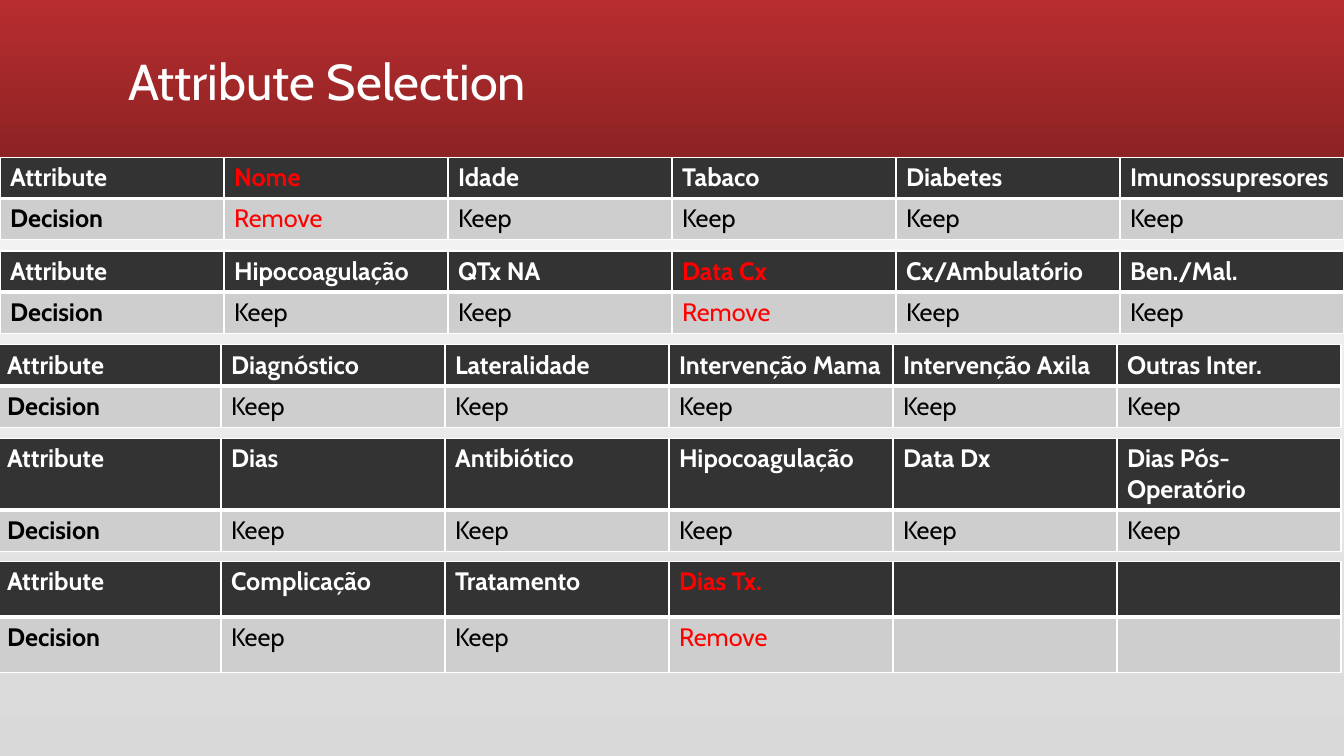
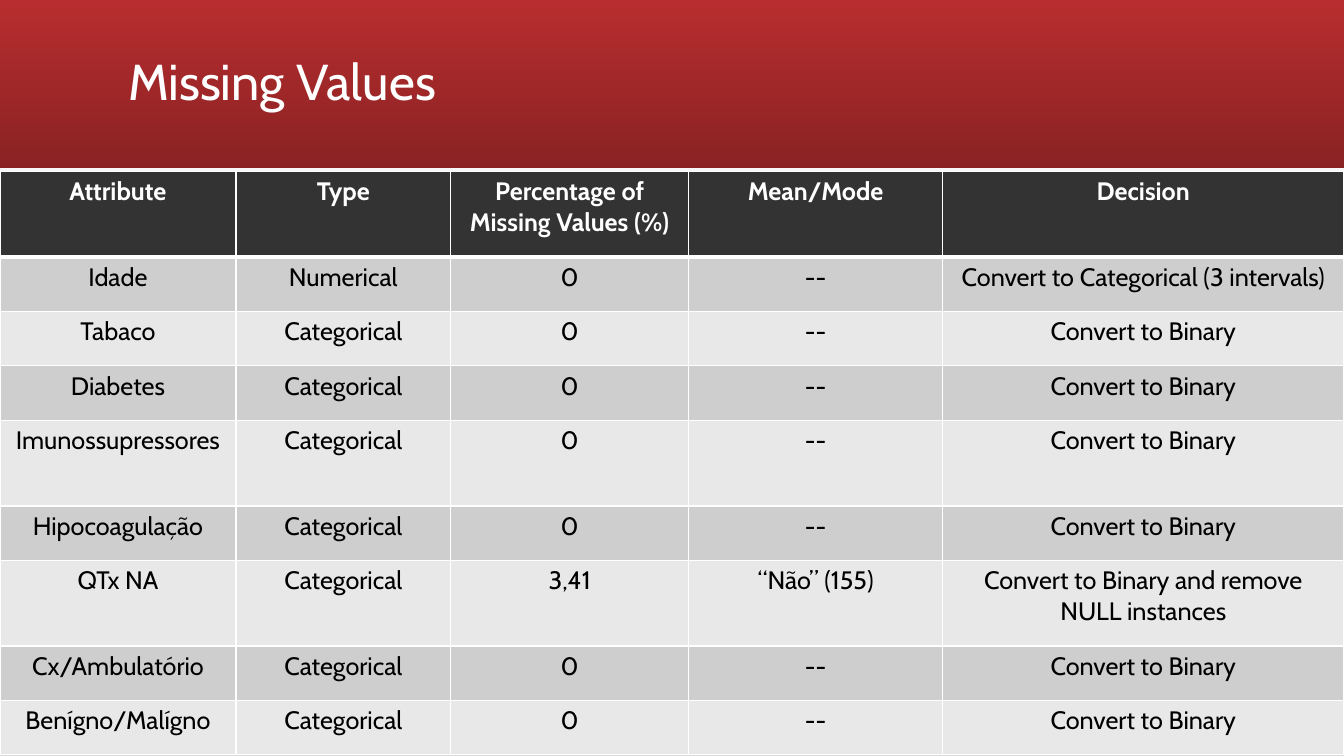
from lxml import etree
from pptx import Presentation
from pptx import util as u
from pptx.dml.color import RGBColor
from pptx.enum import shapes, text
from pptx.oxml.ns import qn

# Shared style
WIDTH, HEIGHT = 13.33, 7.5
FONT = "Cabin"
COLORS = {
    "band_top": "B82D2F", "band_bottom": "8A2223",
    "page_top": "FFFFFF", "page_bottom": "D9D9D9",
    "header": "333333", "odd": "CECECE", "even": "E8E8E8",
    "light": "FFFFFF", "dark": "000000", "removed": "FF0000",
}

# Attribute selection: (left, row heights, attributes)
REMOVED = {"Nome", "Data Cx", "Dias Tx."}
SELECTION_TOP, SELECTION_GAP, SELECTION_COLUMNS = 1.56, 0.11, 6
SELECTION = [
    (0, (0.41, 0.41), ["Nome", "Idade", "Tabaco", "Diabetes", "Imunossupresores"]),
    (0, (0.41, 0.41), ["Hipocoagulação", "QTx NA", "Data Cx", "Cx/Ambulatório", "Ben./Mal."]),
    (-0.03, (0.41, 0.41), ["Diagnóstico", "Lateralidade", "Intervenção Mama",
                           "Intervenção Axila", "Outras Inter."]),
    (-0.03, (0.7, 0.41), ["Dias", "Antibiótico", "Hipocoagulação", "Data Dx",
                          "Dias Pós-Operatório"]),
    (-0.03, (0.55, 0.55), ["Complicação", "Tratamento", "Dias Tx.", "", ""]),
]

# Missing values
MISSING_TOP = 1.7
MISSING_COLUMNS = (2.34, 2.13, 2.36, 2.52, 3.98)
ROW, TALL_ROW = 0.54, 0.85
TALL = {"Attribute", "Imunossupressores", "QTx NA"}
BINARY = "Convert to Binary"
MISSING = [
    ("Attribute", "Type", "Percentage of Missing Values (%)", "Mean/Mode", "Decision"),
    ("Idade", "Numerical", "0", "--", "Convert to Categorical (3 intervals)"),
    ("Tabaco", "Categorical", "0", "--", BINARY),
    ("Diabetes", "Categorical", "0", "--", BINARY),
    ("Imunossupressores", "Categorical", "0", "--", BINARY),
    ("Hipocoagulação", "Categorical", "0", "--", BINARY),
    ("QTx NA", "Categorical", "3,41", "“Não” (155)", BINARY + " and remove NULL instances"),
    ("Cx/Ambulatório", "Categorical", "0", "--", BINARY),
    ("Benígno/Malígno", "Categorical", "0", "--", BINARY),
]


def rgb(name):
    return RGBColor.from_string(COLORS[name])


def fill_gradient(fill, start, end, angle):
    fill.gradient()
    fill.gradient_angle = angle
    for stop, name in zip(fill.gradient_stops, (start, end)):
        stop.color.rgb = rgb(name)


def style_layout(deck, layout):
    """Page gradient on the master, red band on the layout."""
    fill_gradient(deck.slide_master.background.fill, "page_bottom", "page_top", 90)
    slide = deck.slides[0]
    band = slide.shapes.add_shape(shapes.MSO_SHAPE.RECTANGLE, 0, 0,
                                  u.Inches(WIDTH), u.Inches(1.67))
    band.shadow.inherit = False
    band.line.fill.background()
    fill_gradient(band.fill, "band_top", "band_bottom", 270)
    layout.shapes._spTree.insert(2, band._element)


def add_titled_slide(deck, layout, wording):
    slide = deck.slides.add_slide(layout)
    title = slide.shapes.title
    title.left, title.top, title.width, title.height = map(u.Inches, (1.17, 0.11, 11, 1.45))
    title.text = wording
    frame = title.text_frame
    frame.vertical_anchor = text.MSO_ANCHOR.MIDDLE
    frame.auto_size = text.MSO_AUTO_SIZE.NONE
    heading = frame.paragraphs[0]
    heading.alignment = text.PP_ALIGN.LEFT
    heading.line_spacing = 0.9
    heading.font.name, heading.font.size = FONT, u.Pt(36)
    heading.font.color.rgb = rgb("light")
    return slide


def set_borders(cell, top, bottom):
    properties = cell._tc.get_or_add_tcPr()
    for side, points in (("L", 1), ("R", 1), ("T", top), ("B", bottom)):
        line = etree.SubElement(properties, qn(f"a:ln{side}"), w=str(u.Pt(points)))
        solid = etree.SubElement(line, qn("a:solidFill"))
        etree.SubElement(solid, qn("a:srgbClr"), val=COLORS["light"])


def add_grid(slide, left, top, widths, heights, rows, align, bold_first=False):
    """A table with a dark header row, banded body and white rules."""
    table = slide.shapes.add_table(
        len(rows), len(widths), u.Inches(left), u.Inches(top),
        u.Inches(sum(widths)), u.Inches(sum(heights))).table
    for column, width in zip(table.columns, widths):
        column.width = u.Inches(width)
    for r, (height, row) in enumerate(zip(heights, rows)):
        table.rows[r].height = u.Inches(height)
        header = r == 0
        for c, wording in enumerate(row):
            cell = table.cell(r, c)
            set_borders(cell, top=3 if r == 1 else 1, bottom=3 if header else 1)
            cell.fill.solid()
            cell.fill.fore_color.rgb = rgb("header" if header else "odd" if r % 2 else "even")
            cell.text = wording
            entry = cell.text_frame.paragraphs[0]
            entry.alignment = align
            entry.font.name, entry.font.size = FONT, u.Pt(18)
            entry.font.bold = header or (bold_first and c == 0)
            removed = wording in REMOVED or wording == "Remove"
            entry.font.color.rgb = rgb("removed" if removed else "light" if header else "dark")


def decide(attribute):
    if not attribute:
        return ""
    return "Remove" if attribute in REMOVED else "Keep"


def main():
    deck = Presentation()
    deck.slide_width, deck.slide_height = u.Inches(WIDTH), u.Inches(HEIGHT)
    layout = deck.slide_layouts.get_by_name("Title Only")

    # Attribute selection
    slide = add_titled_slide(deck, layout, "Attribute Selection")
    style_layout(deck, layout)
    widths = [WIDTH / SELECTION_COLUMNS] * SELECTION_COLUMNS
    top = SELECTION_TOP
    for left, heights, attributes in SELECTION:
        rows = [["Attribute", *attributes], ["Decision", *map(decide, attributes)]]
        add_grid(slide, left, top, widths, heights, rows, text.PP_ALIGN.LEFT, bold_first=True)
        top += sum(heights) + SELECTION_GAP

    # Missing values
    slide = add_titled_slide(deck, layout, "Missing Values")
    heights = [TALL_ROW if row[0] in TALL else ROW for row in MISSING]
    add_grid(slide, 0, MISSING_TOP, MISSING_COLUMNS, heights, MISSING, text.PP_ALIGN.CENTER)

    deck.save("out.pptx")


if __name__ == "__main__":
    main()
